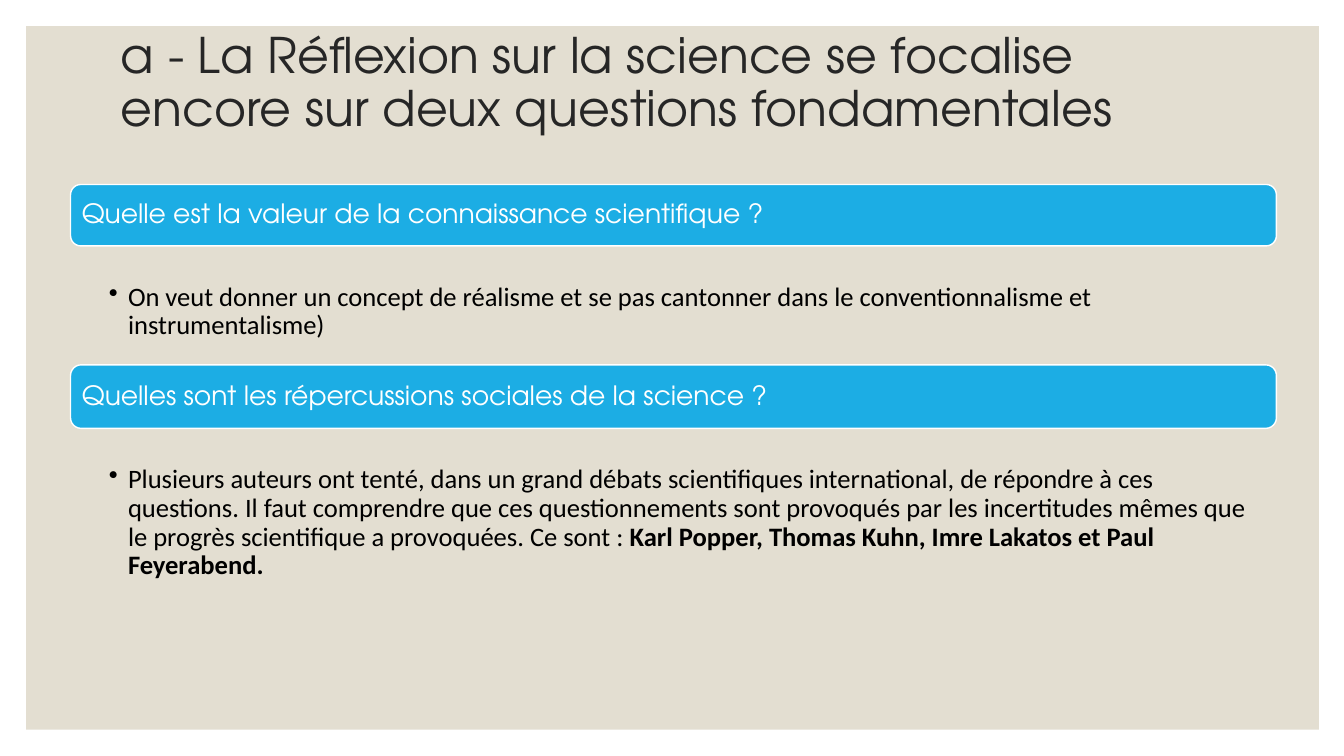
"""Build the slide on two fundamental questions about science."""
from lxml import etree
from pptx import Presentation
from pptx import util as u
from pptx.dml.color import RGBColor
from pptx.enum import shapes, text
from pptx.oxml.ns import qn

HUES = {"page": "E3DED1", "bar": "1CADE4", "white": "FFFFFF",
        "title": "262626", "body": "000000"}
HEAD, BODY = "TeX Gyre Adventor", "Calibri"
LEFT, WIDE = 0.7, 11.96
TITLE = ("a - La Réflexion sur la science se focalise "
         "encore sur deux questions fondamentales")
TOPICS = [
    (1.83, 0.61, "Quelle est la valeur de la connaissance scientifique ?", 1.18,
     [("On veut donner un concept de réalisme et se pas cantonner dans le "
       "conventionnalisme et instrumentalisme)", False)]),
    (3.62, 0.63, "Quelles sont les répercussions sociales de la science ?", 1.58,
     [("Plusieurs auteurs ont tenté, dans un grand débats scientifiques "
       "international, de répondre à ces questions. Il faut comprendre que ces "
       "questionnements sont provoqués par les incertitudes mêmes que le progrès "
       "scientifique a provoquées. Ce sont : ", False),
      ("Karl Popper, Thomas Kuhn, Imre Lakatos et Paul Feyerabend.", True)]),
]


class Deck:
    """Hold the style and the current slide."""

    def __init__(self):
        """Open a wide deck with one title-only slide."""
        self.prs = Presentation()
        self.prs.slide_width = u.Inches(13.33)
        self.prs.slide_height = u.Inches(7.5)
        self.slide = self.prs.slides.add_slide(self.prs.slide_layouts[5])

    def label(self, shape, runs, face, size, hue, pads, anchor, bullet=False):
        """Fill a shape with one left-aligned paragraph."""
        frame = shape.text_frame
        sides = ("left", "top", "right", "bottom")
        form = {f"margin_{side}": u.Inches(pad) for side, pad in zip(sides, pads)}
        form |= {"word_wrap": True, "auto_size": text.MSO_AUTO_SIZE.NONE,
                 "vertical_anchor": anchor}
        for key, value in form.items():
            setattr(frame, key, value)
        para = frame.paragraphs[0]
        para.alignment = text.PP_ALIGN.LEFT
        para.line_spacing = 0.9
        if bullet:
            props = para._p.get_or_add_pPr()
            props.set("marL", str(u.Inches(0.19)))
            props.set("indent", str(u.Inches(-0.19)))
            etree.SubElement(props, qn("a:buChar")).set("char", "•")
        for words, bold in runs:
            run = para.add_run()
            run.text = words
            for key, value in {"name": face, "size": u.Pt(size), "bold": bold}.items():
                setattr(run.font, key, value)
            run.font.color.rgb = RGBColor.from_string(HUES[hue])

    def block(self, kind, box, fill, line=None):
        """Add a filled shape."""
        shape = self.slide.shapes.add_shape(kind, *map(u.Inches, box))
        shape.shadow.inherit = False
        shape.fill.solid()
        shape.fill.fore_color.rgb = RGBColor.from_string(HUES[fill])
        if line:
            shape.line.color.rgb = RGBColor.from_string(HUES[line])
            shape.line.width = u.Pt(1)
        else:
            shape.line.fill.background()
        return shape

    def page(self):
        """Lay the beige panel behind everything."""
        panel = self.block(shapes.MSO_SHAPE.RECTANGLE, (0.26, 0.26, 12.82, 6.98), "page")
        self.slide.shapes._spTree.insert(2, panel._element)

    def title(self, words):
        """Place and format the title."""
        shape = self.slide.shapes.title
        place = {"left": 1.1, "top": 0.08, "width": 11, "height": 1.5}
        for key, value in place.items():
            setattr(shape, key, u.Inches(value))
        self.label(shape, [(words, False)], HEAD, 35, "title",
                   (0.1, 0.05, 0.1, 0.05), text.MSO_ANCHOR.MIDDLE)

    def bar(self, top, high, words):
        """Add a rounded question bar."""
        shape = self.block(shapes.MSO_SHAPE.ROUNDED_RECTANGLE,
                           (LEFT, top, WIDE, high), "bar", "white")
        self.label(shape, [(words, False)], HEAD, 19, "white",
                   (0.08,) * 4, text.MSO_ANCHOR.MIDDLE)

    def note(self, top, high, runs):
        """Add the bulleted answer under a bar."""
        box = map(u.Inches, (LEFT, top, WIDE, high))
        shape = self.slide.shapes.add_textbox(*box)
        self.label(shape, runs, BODY, 19, "body", (0.38, 0.37, 0.15, 0.03),
                   text.MSO_ANCHOR.TOP, bullet=True)


def main():
    """Build and save the slide."""
    deck = Deck()
    deck.page()
    deck.title(TITLE)
    for top, high, ask, depth, runs in TOPICS:
        deck.bar(top, high, ask)
        deck.note(top + high, depth, runs)
    deck.prs.save("out.pptx")


if __name__ == "__main__":
    main()
